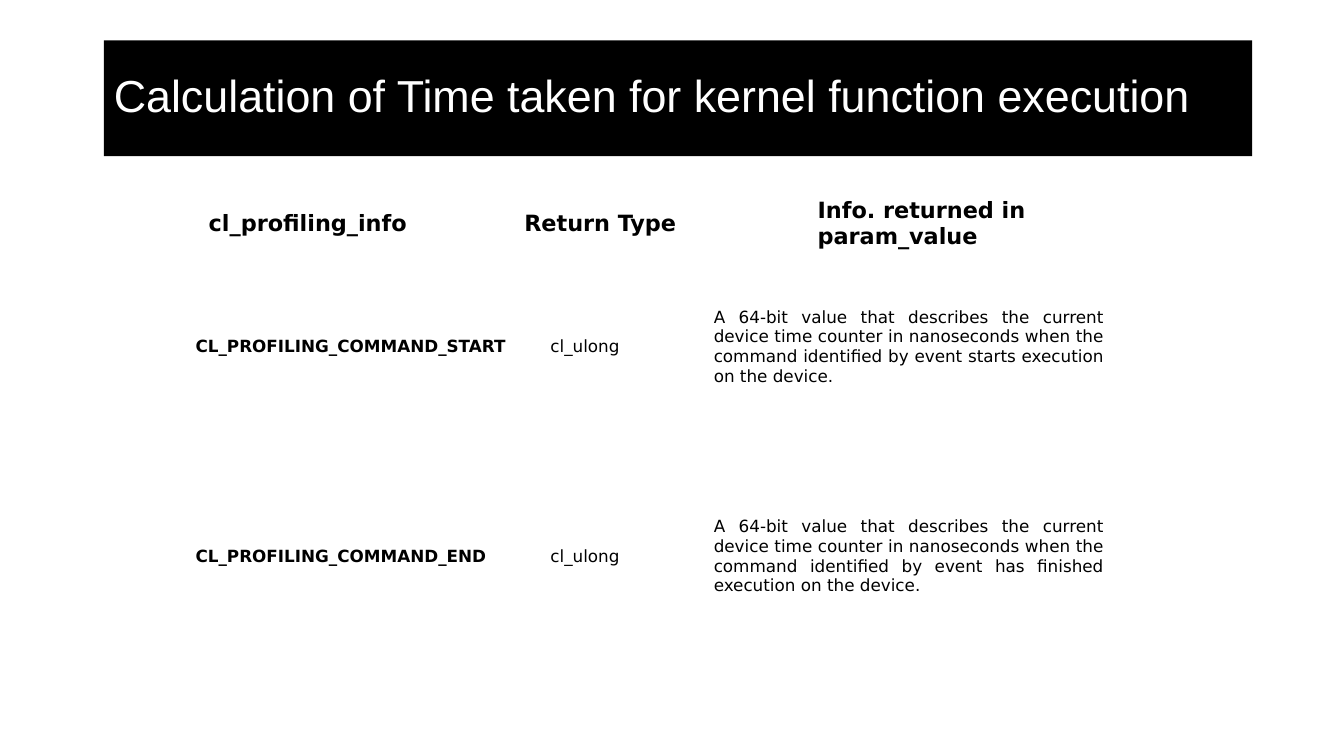
"""Build the slide on timing a kernel function with profiling commands."""
from pptx import Presentation
from pptx import util as u
from pptx.dml.color import RGBColor
from pptx.enum import shapes, text

COLORS = {"ink": "000000", "paper": "FFFFFF"}
WIDTH, HEIGHT = 13.33, 7.5
LEFT, CENTER, JUSTIFY = text.PP_ALIGN.LEFT, text.PP_ALIGN.CENTER, text.PP_ALIGN.JUSTIFY


def style_run(span, font, size, color, bold=False):
    span.font.name = font
    span.font.size = u.Pt(size)
    span.font.bold = bold
    span.font.color.rgb = RGBColor.from_string(COLORS[color])


def add_grid(page, left, top, widths, height, rows, size, bold_columns, insets, aligns):
    frame = page.shapes.add_table(len(rows), len(widths), u.Inches(left), u.Inches(top),
                                  u.Inches(sum(widths)), u.Inches(height * len(rows)))
    grid = frame.table
    grid.first_row = grid.horz_banding = False
    for column, width in zip(grid.columns, widths):
        column.width = u.Inches(width)
    for row, words in zip(grid.rows, rows):
        row.height = u.Inches(height)
        for index, cell in enumerate(row.cells):
            cell.fill.solid()
            cell.fill.fore_color.rgb = RGBColor.from_string(COLORS["paper"])
            cell.vertical_anchor = text.MSO_ANCHOR.MIDDLE
            cell.margin_left = u.Inches(insets[index])
            cell.margin_right = u.Inches(min(insets))
            cell.margin_top = cell.margin_bottom = u.Inches(0.03)
            cell.text_frame.text = words[index]
            para = cell.text_frame.paragraphs[0]
            para.alignment = aligns[index]
            style_run(para.runs[0], "DejaVu Sans", size, "ink", index in bold_columns)


deck = Presentation()
deck.slide_width, deck.slide_height = u.Inches(WIDTH), u.Inches(HEIGHT)
page = deck.slides.add_slide(deck.slide_layouts[6])

description = ("A 64-bit value that describes the current device time counter in nanoseconds "
               "when the command identified by event {} execution on the device.")
commands = [("CL_PROFILING_COMMAND_" + name, "cl_ulong", description.format(action))
            for name, action in (("START", "starts"), ("END", "has finished"))]
add_grid(page, 1.9, 2.4, (3.52, 1.62, 3.95), 2.08, commands, 12, {0},
         (0.04, 0.04, 0.04), (LEFT, LEFT, JUSTIFY))

headings = [("cl_profiling_info", "Return Type", "Info. returned in param_value")]
add_grid(page, 1.92, 1.92, (3.06, 3.06, 3.06), 0.6, headings, 16, {0, 1, 2},
         (0.15, 0.22, 0.07), (LEFT, LEFT, LEFT))

title = page.shapes.add_shape(shapes.MSO_SHAPE.RECTANGLE, u.Inches(1.03), u.Inches(0.4),
                              u.Inches(11.39), u.Inches(1.15))
title.shadow.inherit = False
title.fill.solid()
title.fill.fore_color.rgb = RGBColor.from_string(COLORS["ink"])
title.line.fill.background()
title.text_frame.word_wrap = True
title.text_frame.vertical_anchor = text.MSO_ANCHOR.MIDDLE
title.text_frame.text = "Calculation of Time taken for kernel function execution"
heading = title.text_frame.paragraphs[0]
heading.alignment = LEFT
heading.line_spacing = 0.9
style_run(heading.runs[0], "Arial", 32, "paper")

deck.save("out.pptx")
